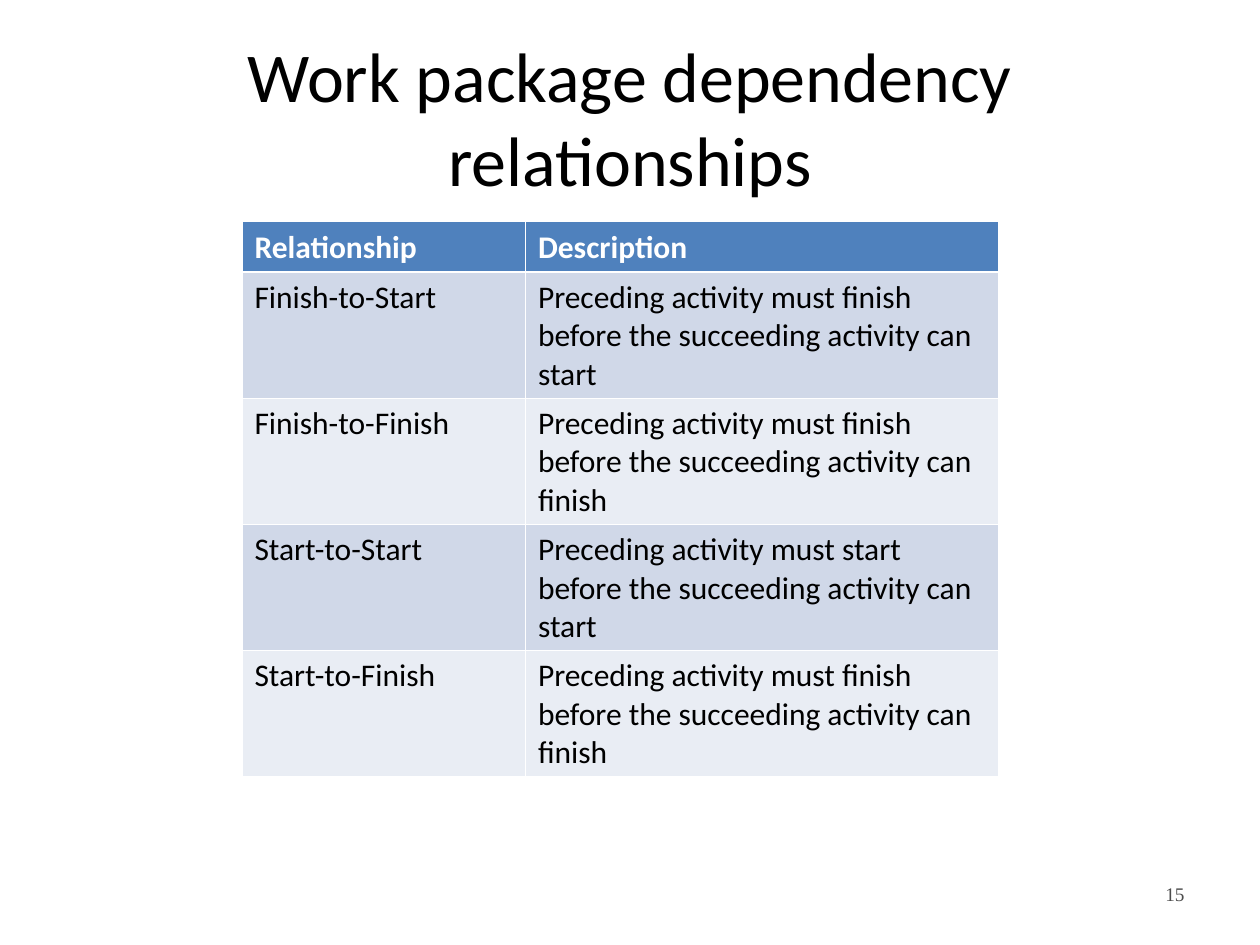
from lxml import etree
from pptx import Presentation
from pptx.dml.color import RGBColor
from pptx.enum.text import MSO_ANCHOR, PP_ALIGN
from pptx.oxml.ns import qn
from pptx.util import Inches, Pt

CENTER, RIGHT = PP_ALIGN.CENTER, PP_ALIGN.RIGHT
TOP, MIDDLE = MSO_ANCHOR.TOP, MSO_ANCHOR.MIDDLE

COLORS = {
    "white": "FFFFFF",
    "black": "000000",
    "header": "4F81BD",
    "odd_row": "D0D8E8",
    "even_row": "E9EDF4",
    "page_number": "4D4D4D",
}
THIN, THICK = 0.45, 1.47

RELATIONSHIPS = [
    ("Relationship", "Description"),
    ("Finish-to-Start", "Preceding activity must finish before the succeeding activity can start"),
    ("Finish-to-Finish", "Preceding activity must finish before the succeeding activity can finish"),
    ("Start-to-Start", "Preceding activity must start before the succeeding activity can start"),
    ("Start-to-Finish", "Preceding activity must finish before the succeeding activity can finish"),
]


def color(name):
    return RGBColor.from_string(COLORS[name])


def add_run(paragraph, text, size, color_name, font="Calibri", bold=False):
    run = paragraph.add_run()
    run.text = text
    run.font.name = font
    run.font.size = Pt(size)
    run.font.bold = bold
    run.font.color.rgb = color(color_name)


def add_text_frame(slide, box, anchor, align):
    text_frame = slide.shapes.add_textbox(*map(Inches, box)).text_frame
    text_frame.word_wrap = True
    text_frame.vertical_anchor = anchor
    paragraph = text_frame.paragraphs[0]
    paragraph.alignment = align
    return text_frame


def add_title(slide, box):
    text_frame = add_text_frame(slide, box, MIDDLE, CENTER)
    text_frame.margin_left = text_frame.margin_right = 0
    text_frame.margin_top = text_frame.margin_bottom = 0
    add_run(text_frame.paragraphs[0], "Work package dependency relationships", 40, "black")


def add_page_number(slide, box):
    text_frame = add_text_frame(slide, box, TOP, RIGHT)
    add_run(text_frame.paragraphs[0], "15", 11, "page_number", "Times New Roman")


def set_borders(cell, widths):
    properties = cell._tc.get_or_add_tcPr()
    for side, width in widths.items():
        line = etree.SubElement(properties, qn(f"a:ln{side}"), w=str(Pt(width)))
        fill = etree.SubElement(line, qn("a:solidFill"))
        etree.SubElement(fill, qn("a:srgbClr"), val=COLORS["white"])


def add_relationship_table(slide, box):
    frame = slide.shapes.add_table(len(RELATIONSHIPS), 2, *map(Inches, box))
    table = frame.table
    for column, width in zip(table.columns, (2.25, 3.75)):
        column.width = Inches(width)
    for row_index, texts in enumerate(RELATIONSHIPS):
        is_header = row_index == 0
        table.rows[row_index].height = Inches(0.4 if is_header else 1)
        fill_name = "header" if is_header else "odd_row" if row_index % 2 else "even_row"
        widths = {
            "L": THIN,
            "R": THIN,
            "T": THICK if row_index == 1 else THIN,
            "B": THICK if is_header else THIN,
        }
        for column_index, text in enumerate(texts):
            cell = table.cell(row_index, column_index)
            set_borders(cell, widths)
            cell.fill.solid()
            cell.fill.fore_color.rgb = color(fill_name)
            text_color = "white" if is_header else "black"
            add_run(cell.text_frame.paragraphs[0], text, 18, text_color, bold=is_header)


def main():
    presentation = Presentation()
    presentation.slide_width = Inches(10)
    presentation.slide_height = Inches(7.5)
    slide = presentation.slides.add_slide(presentation.slide_layouts[6])
    add_title(slide, (0.5, 0.3, 9, 1.25))
    add_relationship_table(slide, (1.92, 1.76, 6, 4.4))
    add_page_number(slide, (7.17, 6.95, 2.33, 0.4))
    presentation.save("out.pptx")


if __name__ == "__main__":
    main()
